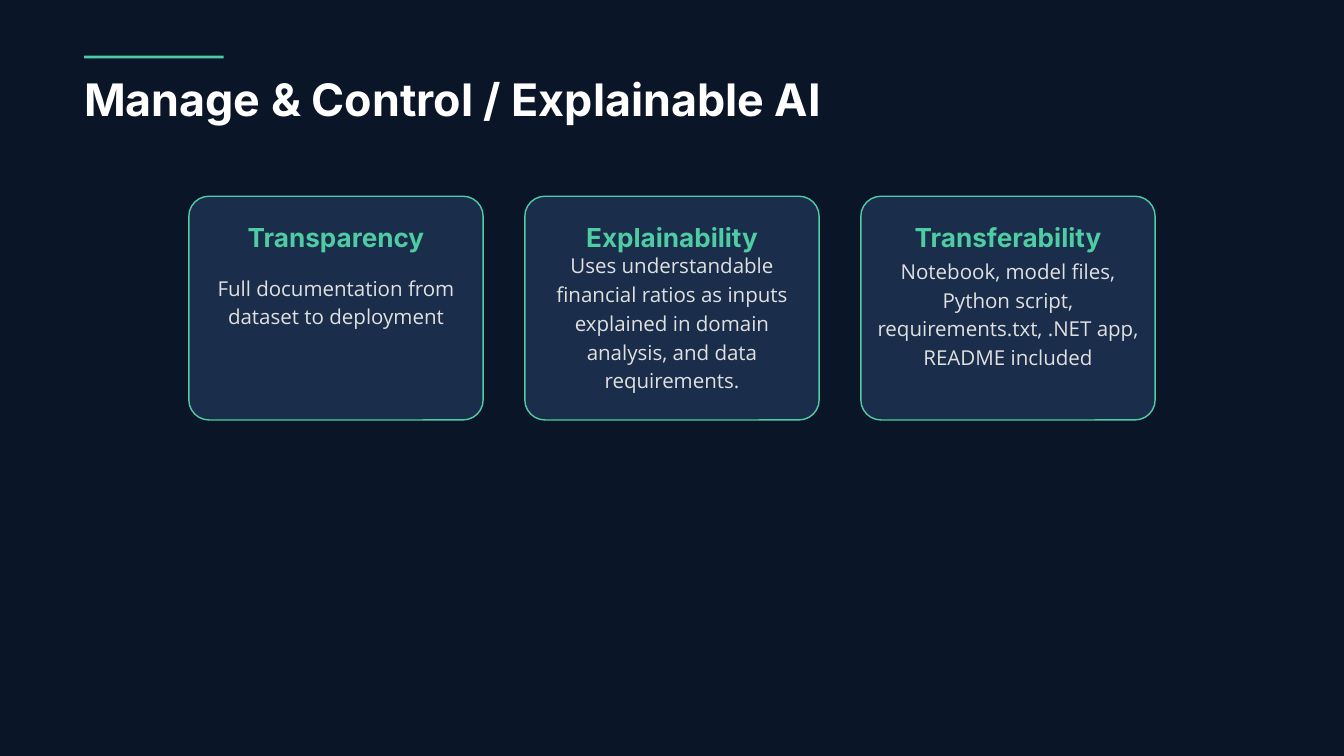
"""Build a slide with three cards on managing and explaining AI."""
from pptx import Presentation
from pptx.dml.color import RGBColor
from pptx.enum.shapes import MSO_SHAPE
from pptx.enum.text import MSO_ANCHOR, MSO_AUTO_SIZE, PP_ALIGN
from pptx.util import Inches, Pt

COLORS = {
    "back": "0A1628",
    "card": "1A2D4A",
    "accent": "4ECCA3",
    "title": "FFFFFF",
    "body": "E0E0E0",
}

CARDS = [
    ("Transparency", 4.04, 0.83,
     ["Full documentation from", "dataset to deployment"]),
    ("Explainability", 3.71, 2.12,
     ["Uses understandable",
      "financial ratios as inputs explained in domain analysis, "
      "and data requirements."]),
    ("Transferability", 3.79, 1.69,
     ["Notebook, model files,",
      "Python script, requirements.txt, .NET app,",
      "README included"]),
]


def color(name):
    return RGBColor.from_string(COLORS[name])


def paint(shape, fill, line=None):
    shape.shadow.inherit = False
    shape.fill.solid()
    shape.fill.fore_color.rgb = color(fill)
    if line:
        shape.line.color.rgb = color(line)
        shape.line.width = Pt(1.5)
    else:
        shape.line.fill.background()


def write(shape, lines, *, size, lead, font, tint, bold=False,
          align=PP_ALIGN.CENTER):
    frame = shape.text_frame
    frame.margin_left = frame.margin_right = 0
    frame.margin_top = frame.margin_bottom = 0
    frame.word_wrap = True
    frame.auto_size = MSO_AUTO_SIZE.NONE
    frame.vertical_anchor = MSO_ANCHOR.TOP
    frame.text = "\n".join(lines)
    for para in frame.paragraphs:
        para.alignment = align
        para.line_spacing = Pt(lead)
        para.space_before = para.space_after = Pt(0)
        for run in para.runs:
            run.font.size = Pt(size)
            run.font.name = font
            run.font.bold = bold
            run.font.color.rgb = color(tint)


def add_title(slide, text):
    bar = slide.shapes.add_shape(
        MSO_SHAPE.RECTANGLE,
        Inches(1.25), Inches(0.83), Inches(2.08), Inches(0.04))
    paint(bar, "accent")
    title = slide.shapes.title
    title.left, title.top = Inches(1.25), Inches(0.94)
    title.width, title.height = Inches(17.5), Inches(0.9)
    write(title, [text], size=48, lead=67.2, font="Inter", tint="title",
          bold=True, align=PP_ALIGN.LEFT)


def add_card(slide, left, head, top, height, lines):
    shapes = slide.shapes
    card = shapes.add_shape(
        MSO_SHAPE.ROUNDED_RECTANGLE,
        Inches(left), Inches(2.92), Inches(4.38), Inches(3.33))
    card.adjustments[0] = 0.09
    paint(card, "card", "accent")
    inner, width = Inches(left + 0.21), Inches(3.96)
    label = shapes.add_textbox(inner, Inches(3.22), width, Inches(0.54))
    write(label, [head], size=28, lead=39.2, font="Inter", tint="accent",
          bold=True)
    body = shapes.add_textbox(inner, Inches(top), width, Inches(height))
    write(body, lines, size=22, lead=30.8, font="Open Sans", tint="body")


def main():
    deck = Presentation()
    deck.slide_width, deck.slide_height = Inches(20), Inches(11.25)
    slide = deck.slides.add_slide(deck.slide_layouts[5])
    slide.background.fill.solid()
    slide.background.fill.fore_color.rgb = color("back")
    add_title(slide, "Manage & Control / Explainable AI")
    for index, card in enumerate(CARDS):
        add_card(slide, 2.81 + 5 * index, *card)
    deck.save("out.pptx")


if __name__ == "__main__":
    main()
